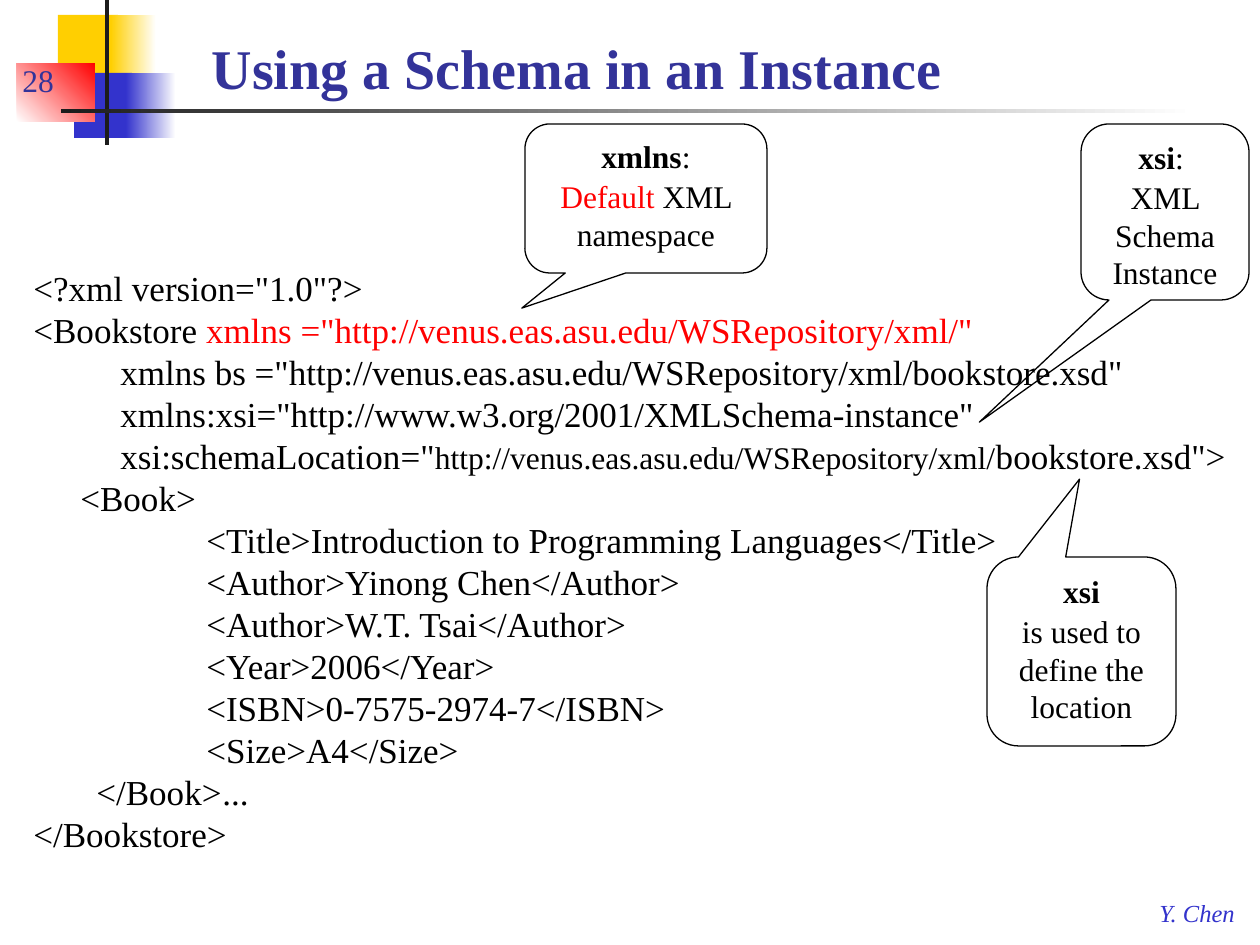
from lxml import etree
from pptx import Presentation
from pptx.dml.color import RGBColor
from pptx.enum.shapes import MSO_SHAPE
from pptx.enum.text import MSO_ANCHOR, PP_ALIGN
from pptx.oxml.ns import qn
from pptx.util import Emu, Pt

RECTANGLE = MSO_SHAPE.RECTANGLE
CALLOUT = MSO_SHAPE.ROUNDED_RECTANGULAR_CALLOUT
TOP, BOTTOM = MSO_ANCHOR.TOP, MSO_ANCHOR.BOTTOM
LEFT, CENTER = PP_ALIGN.LEFT, PP_ALIGN.CENTER

BLACK = RGBColor(0x00, 0x00, 0x00)
WHITE = RGBColor(0xFF, 0xFF, 0xFF)
RED = RGBColor(0xFF, 0x00, 0x00)
GOLD = RGBColor(0xFF, 0xCF, 0x01)
BLUE = RGBColor(0x33, 0x33, 0xCC)
NAVY = RGBColor(0x33, 0x33, 0x99)
CHARCOAL = RGBColor(0x1C, 0x1C, 0x1C)

FONT = "Times New Roman"
EMU_PER_PX = 914400 / 126
BOOK_INDENT, ATTRIBUTE_INDENT, DETAIL_INDENT, ELLIPSIS_STOP = 47, 87, 173, 251


def px(length):
    return Emu(round(length * EMU_PER_PX))


class SlideBuilder:
    def __init__(self, presentation):
        self.slide = presentation.slides.add_slide(presentation.slide_layouts[5])

    def add_run(self, paragraph, text, size=18, color=BLACK, bold=False, italic=False):
        run = paragraph.add_run()
        run.text = text
        font = run.font
        font.name, font.size, font.bold, font.italic = FONT, Pt(size), bold, italic
        font.color.rgb = color

    def add_shape(self, kind, box, fill):
        shape = self.slide.shapes.add_shape(kind, *map(px, box))
        shape.shadow.inherit = False
        shape.line.fill.background()
        shape.fill.solid()
        shape.fill.fore_color.rgb = fill
        return shape

    def add_block(self, box, color):
        self.add_shape(RECTANGLE, box, color)

    def add_fade(self, box, start, end, angle=0):
        fill = self.add_shape(RECTANGLE, box, start).fill
        fill.gradient()
        fill.gradient_angle = angle
        for stop, color in zip(fill.gradient_stops, (start, end)):
            stop.color.rgb = color

    def add_title(self, box, text):
        title = self.slide.shapes.title
        title.left, title.top, title.width, title.height = map(px, box)
        title.text_frame.vertical_anchor = BOTTOM
        paragraph = title.text_frame.paragraphs[0]
        paragraph.alignment = LEFT
        self.add_run(paragraph, text, size=32, color=NAVY, bold=True)

    def add_text_box(self, box, wrap=True, anchor=TOP):
        frame = self.slide.shapes.add_textbox(*map(px, box)).text_frame
        frame.word_wrap = wrap
        frame.vertical_anchor = anchor
        return frame

    def add_label(self, box, text, wrap=True, anchor=TOP, **style):
        frame = self.add_text_box(box, wrap, anchor)
        self.add_run(frame.paragraphs[0], text, **style)

    def add_callout(self, box, tip, lines):
        shape = self.add_shape(CALLOUT, box, WHITE)
        shape.line.color.rgb = BLACK
        shape.line.width = Pt(0.75)
        shape.adjustments[0], shape.adjustments[1] = tip
        shape.adjustments[2] = 0.167
        frame = shape.text_frame
        frame.word_wrap = True
        frame.vertical_anchor = TOP
        for index, runs in enumerate(lines):
            paragraph = frame.add_paragraph() if index else frame.paragraphs[0]
            paragraph.alignment = CENTER
            paragraph.space_before = Pt(1)
            for text, style in runs:
                self.add_run(paragraph, text, **style)

    def add_code(self, box, lines):
        frame = self.add_text_box(box)
        for index, (indent, runs) in enumerate(lines):
            paragraph = frame.add_paragraph() if index else frame.paragraphs[0]
            paragraph.line_spacing = 0.8
            paragraph.space_before = Pt(4.8)
            properties = paragraph._p.get_or_add_pPr()
            properties.set("marL", str(px(indent)))
            properties.set("indent", "0")
            if any("\t" in text for text, style in runs):
                self.add_tab_stops(properties, (BOOK_INDENT, ELLIPSIS_STOP))
            for text, style in runs:
                self.add_run(paragraph, text, **{"size": 20, **style})

    def add_tab_stops(self, properties, stops):
        tab_list = etree.SubElement(properties, qn("a:tabLst"))
        for stop in stops:
            etree.SubElement(tab_list, qn("a:tab"), pos=str(px(stop)), algn="l")


def main():
    presentation = Presentation()
    presentation.slide_width, presentation.slide_height = px(1260), px(945)
    builder = SlideBuilder(presentation)

    builder.add_block((58, 15, 60, 66), GOLD)
    builder.add_fade((111, 15, 45, 66), GOLD, WHITE)
    builder.add_block((74, 73, 58, 65), BLUE)
    builder.add_fade((126, 73, 50, 65), BLUE, WHITE)
    builder.add_fade((17, 63, 78, 59), WHITE, RED, angle=45)
    builder.add_block((105, 0, 4, 145), CHARCOAL)
    builder.add_fade((61, 109, 1134, 4), CHARCOAL, WHITE)
    builder.add_label((1147, 892, 103, 42), "Y. Chen", wrap=False,
                      size=14, color=BLUE, italic=True)

    bold, red = {"bold": True}, {"color": RED}
    builder.add_callout((1081, 124, 168, 176), (-1.105, 1.194), [
        [("xsi", bold), (": ", {})],
        [("XML Schema Instance", {})],
    ])
    builder.add_label((10, 42, 105, 63), "28", anchor=BOTTOM, color=NAVY)
    builder.add_title((199, 21, 1050, 86), "Using a Schema in an Instance")

    details = [
        "<Title>Introduction to Programming Languages</Title>",
        "<Author>Yinong Chen</Author>",
        "<Author>W.T. Tsai</Author>",
        "<Year>2006</Year>",
        "<ISBN>0-7575-2974-7</ISBN>",
        "<Size>A4</Size>",
    ]
    repository = "http://venus.eas.asu.edu/WSRepository/xml/"
    builder.add_code((21, 268, 1229, 635), [
        (0, [('<?xml version="1.0"?>', {})]),
        (0, [("<Bookstore ", {}), (f'xmlns ="{repository}"', red)]),
        (ATTRIBUTE_INDENT, [(f'xmlns bs ="{repository}bookstore.xsd"', {})]),
        (ATTRIBUTE_INDENT, [('xmlns:xsi="http://www.w3.org/2001/XMLSchema-instance"', {})]),
        (ATTRIBUTE_INDENT, [('xsi:schemaLocation="', {}), (repository, {"size": 18}),
                            ('bookstore.xsd">', {})]),
        (BOOK_INDENT, [("<Book>", {})]),
        *[(DETAIL_INDENT, [(detail, {})]) for detail in details],
        (0, [("\t</Book>\t...", {})]),
        (0, [("</Bookstore>", {})]),
    ])

    builder.add_callout((525, 124, 242, 149), (-0.513, 0.736), [
        [("xmlns", bold), (":", {})],
        [("Default", red), (" XML namespace", {})],
    ])
    builder.add_callout((987, 557, 189, 189), (-0.01, -0.912), [
        [("xsi", bold)],
        [("is used to define the location", {})],
    ])
    presentation.save("out.pptx")


if __name__ == "__main__":
    main()
